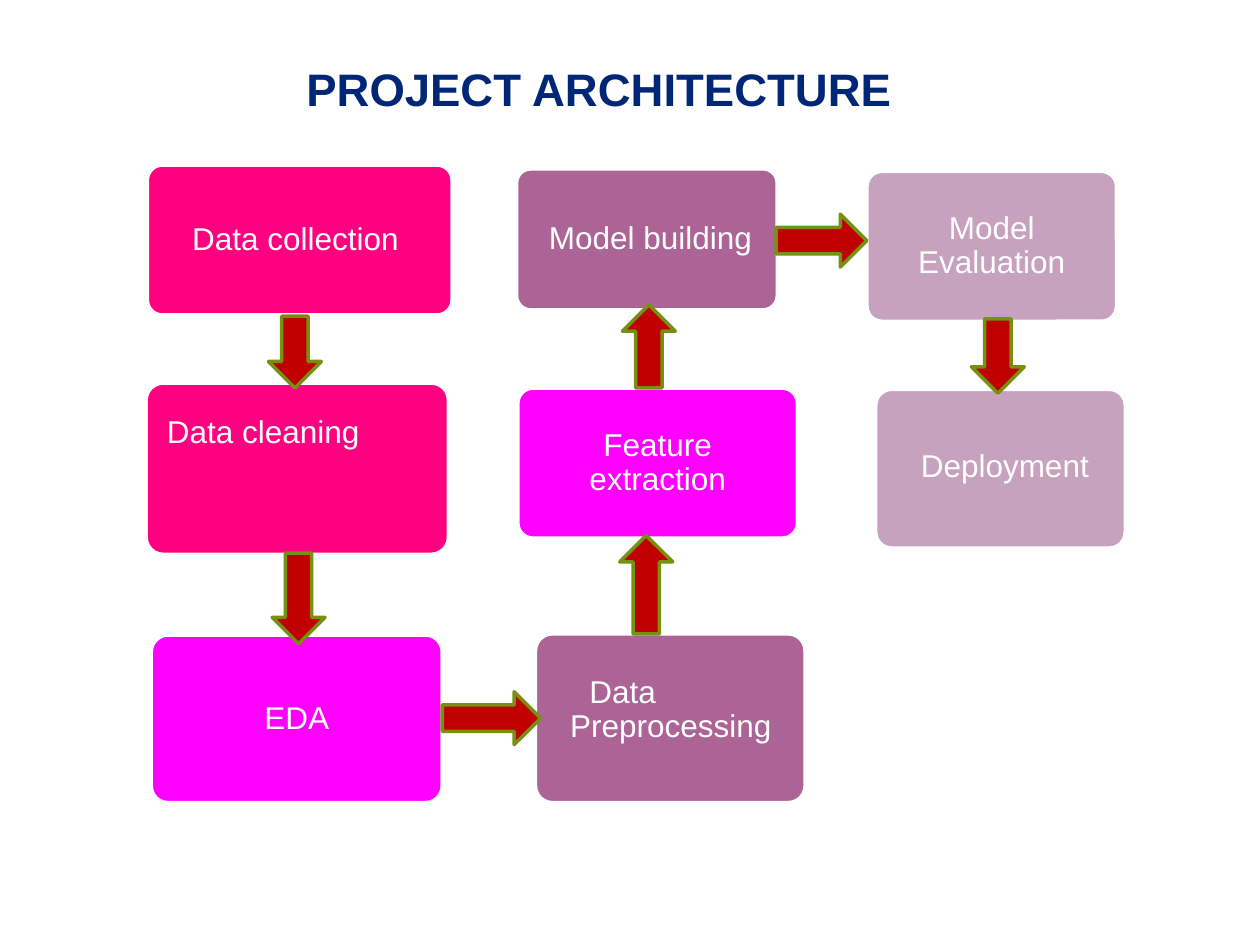
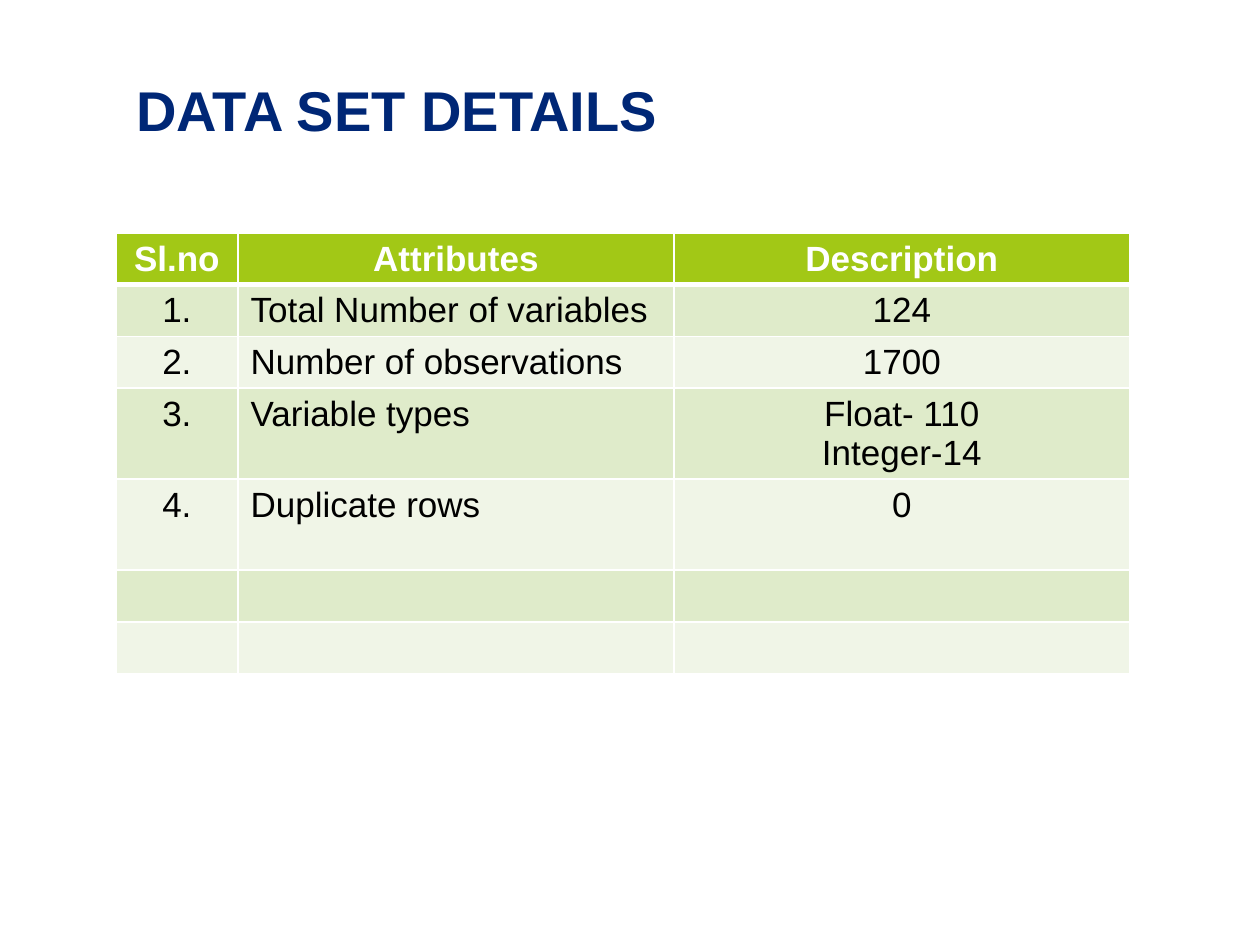
from dataclasses import dataclass
from typing import NamedTuple

from lxml.etree import SubElement
from pptx import Presentation
from pptx.dml.color import RGBColor
from pptx.enum.shapes import MSO_SHAPE
from pptx.enum.text import MSO_ANCHOR, MSO_AUTO_SIZE, PP_ALIGN
from pptx.oxml.ns import qn
from pptx.util import Pt


@dataclass(frozen=True)
class Theme:
    font: str = "Arial"
    navy: str = "002776"
    white: str = "FFFFFF"
    black: str = "000000"
    rose: str = "FF0080"
    pink: str = "FF00FF"
    plum: str = "AC6497"
    mauve: str = "C6A2BF"
    red: str = "C00000"
    olive: str = "769110"
    lime: str = "A2C816"
    bands: tuple = ("DFEBCA", "F0F5E7")
    node: float = 18
    cell: float = 20
    line: float = 2


THEME = Theme()


class Box(NamedTuple):
    x: float
    y: float
    w: float
    h: float


class Node(NamedTuple):
    text: str
    box: Box
    fill: str
    left: float = 10
    right: float = 10
    foot: float = 10
    align: PP_ALIGN = PP_ALIGN.CENTER
    indent: float = 0


class Arrow(NamedTuple):
    kind: MSO_SHAPE
    x: float
    y: float
    length: float


DOWN, UP, RIGHT = MSO_SHAPE.DOWN_ARROW, MSO_SHAPE.UP_ARROW, MSO_SHAPE.RIGHT_ARROW
BREADTH = 30.2

NODES = [
    Node("Data collection", Box(84.2, 94.3, 174.2, 85.7), THEME.rose, right=15),
    Node("Data cleaning", Box(83.5, 218.9, 172.8, 97.9), THEME.rose,
         left=9, foot=50, align=PP_ALIGN.LEFT),
    Node("EDA", Box(86.4, 362.9, 166.3, 95.8), THEME.pink),
    Node("Data Preprocessing", Box(306, 362.2, 154.1, 96.5), THEME.plum,
         left=17, foot=19, align=PP_ALIGN.LEFT, indent=11),
    Node("Feature extraction", Box(295.9, 221.8, 159.8, 85.7), THEME.pink),
    Node("Model building", Box(295.2, 96.5, 149, 80.6), THEME.plum, left=14),
    Node("Model Evaluation", Box(495.4, 97.9, 142.6, 85.7), THEME.mauve),
    Node("Deployment", Box(500.4, 222.5, 142.6, 90.7), THEME.mauve, left=15, foot=12),
]

ARROWS = [
    Arrow(DOWN, 153.4, 180.7, 41),
    Arrow(DOWN, 155.5, 316.1, 51.8),
    Arrow(RIGHT, 252.7, 395.3, 56.2),
    Arrow(UP, 354.2, 306, 56.2),
    Arrow(UP, 355.7, 174.2, 47.5),
    Arrow(RIGHT, 443.5, 122.4, 51.8),
    Arrow(DOWN, 555.1, 182.2, 42.5),
]

COLS = (69.8, 249.1, 260.6)
LOW, TALL = 29.5, 52
ROWS = [
    (LOW, ("Sl.no", "Attributes", "Description")),
    (LOW, ("1.", "Total Number of variables", "124")),
    (LOW, ("2.", "Number of observations", "1700")),
    (TALL, ("3.", "Variable types", "Float- 110\nInteger-14")),
    (TALL, ("4.", "Duplicate rows", "0")),
    (LOW, ("", "", "")),
    (LOW, ("", "", "")),
]


def style(para, size: float, color: str, bold: bool, align: PP_ALIGN) -> None:
    para.alignment = align
    font = para.font
    font.name, font.size, font.bold = THEME.font, Pt(size), bold
    font.color.rgb = RGBColor.from_string(color)


def paint(shape, fill: str, line: str) -> None:
    shape.shadow.inherit = False
    shape.fill.solid()
    shape.fill.fore_color.rgb = RGBColor.from_string(fill)
    shape.line.color.rgb = RGBColor.from_string(line)
    shape.line.width = Pt(THEME.line)


def add_slide(deck, title: str, box: Box, size: float, align: PP_ALIGN):
    """Add a title-only slide and place its title."""
    slide = deck.slides.add_slide(deck.slide_layouts[5])
    head = slide.shapes.title
    head.left, head.top, head.width, head.height = map(Pt, box)
    frame = head.text_frame
    frame.text = title
    frame.auto_size = MSO_AUTO_SIZE.NONE
    frame.vertical_anchor = MSO_ANCHOR.TOP
    style(frame.paragraphs[0], size, THEME.navy, True, align)
    return slide


def add_node(slide, node: Node) -> None:
    shape = slide.shapes.add_shape(MSO_SHAPE.ROUNDED_RECTANGLE, *map(Pt, node.box))
    shape.adjustments[0] = 0.1
    paint(shape, node.fill, THEME.white)
    frame = shape.text_frame
    frame.text = node.text
    frame.word_wrap = True
    frame.vertical_anchor = MSO_ANCHOR.MIDDLE
    frame.margin_left, frame.margin_right = Pt(node.left), Pt(node.right)
    frame.margin_top, frame.margin_bottom = Pt(10), Pt(node.foot)
    para = frame.paragraphs[0]
    para.line_spacing = 0.9
    style(para, THEME.node, THEME.white, False, node.align)
    if node.indent:
        para._p.get_or_add_pPr().set("indent", str(Pt(node.indent)))


def add_arrow(slide, arrow: Arrow) -> None:
    size = (BREADTH, arrow.length)
    if arrow.kind == RIGHT:
        size = size[::-1]
    shape = slide.shapes.add_shape(arrow.kind, *map(Pt, (arrow.x, arrow.y, *size)))
    paint(shape, THEME.red, THEME.olive)


def edge(cell, foot: float) -> None:
    """Give a cell white borders, with the bottom one foot points wide."""
    props = cell._tc.get_or_add_tcPr()
    for side, width in (("L", 1), ("R", 1), ("T", 1), ("B", foot)):
        line = SubElement(props, qn(f"a:ln{side}"), w=str(Pt(width)))
        fill = SubElement(line, qn("a:solidFill"))
        SubElement(fill, qn("a:srgbClr"), val=THEME.white)


def add_grid(slide, x: float, y: float) -> None:
    high = sum(height for height, _ in ROWS)
    frame = slide.shapes.add_table(
        len(ROWS), len(COLS), *map(Pt, (x, y, sum(COLS), high)))
    table = frame.table
    for col, width in zip(table.columns, COLS):
        col.width = Pt(width)
    for r, (height, texts) in enumerate(ROWS):
        table.rows[r].height = Pt(height)
        top = r == 0
        fill = THEME.lime if top else THEME.bands[(r - 1) % 2]
        color = THEME.white if top else THEME.black
        for c, text in enumerate(texts):
            cell = table.cell(r, c)
            edge(cell, 3 if top else 1)
            cell.fill.solid()
            cell.fill.fore_color.rgb = RGBColor.from_string(fill)
            cell.text = text
            align = PP_ALIGN.LEFT if c == 1 and not top else PP_ALIGN.CENTER
            for para in cell.text_frame.paragraphs:
                style(para, THEME.cell, color, top, align)


def main() -> None:
    deck = Presentation()
    deck.slide_width, deck.slide_height = Pt(720), Pt(540)

    flow = add_slide(deck, "PROJECT ARCHITECTURE", Box(50.4, 31, 584, 59.8),
                     26, PP_ALIGN.CENTER)
    for node in NODES:
        add_node(flow, node)
    for arrow in ARROWS:
        add_arrow(flow, arrow)

    data = add_slide(deck, "DATA SET DETAILS", Box(70.6, 39.6, 517.7, 82.8),
                     32, PP_ALIGN.LEFT)
    add_grid(data, 66.2, 133.2)
    deck.save("out.pptx")


if __name__ == "__main__":
    main()
